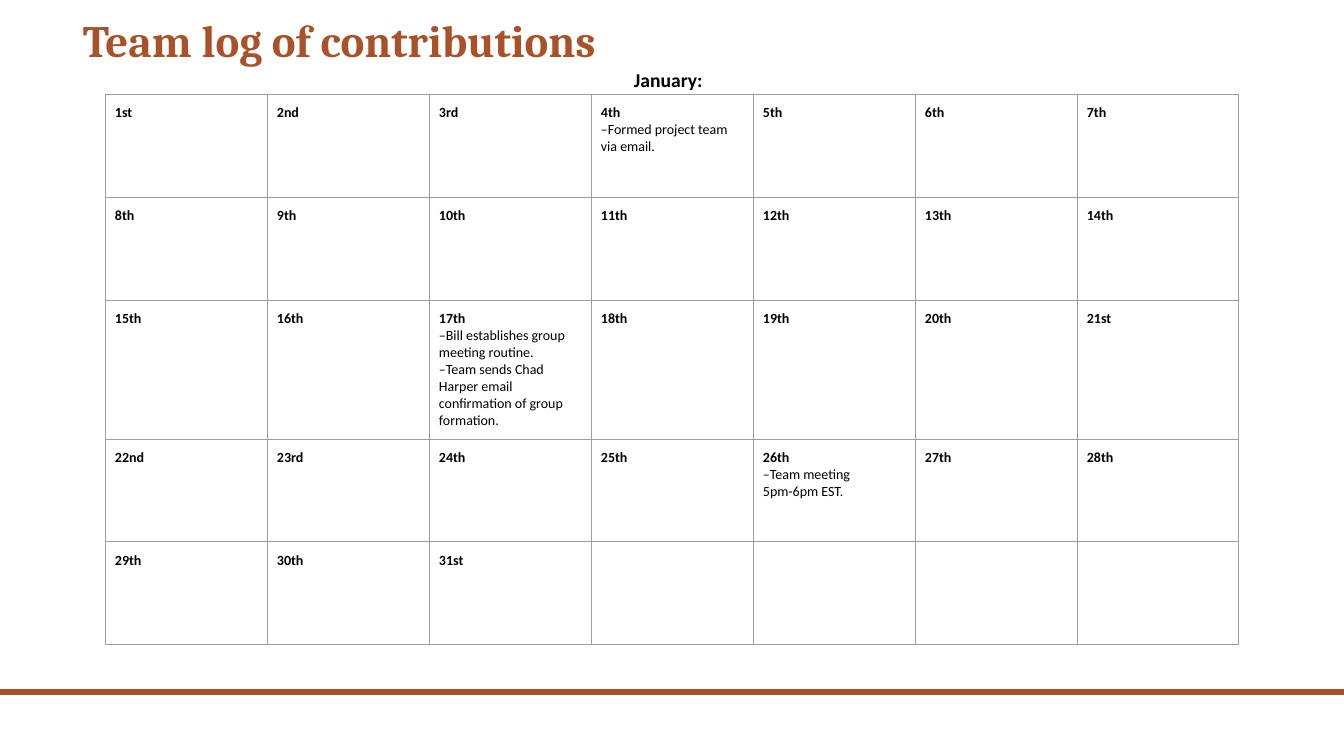
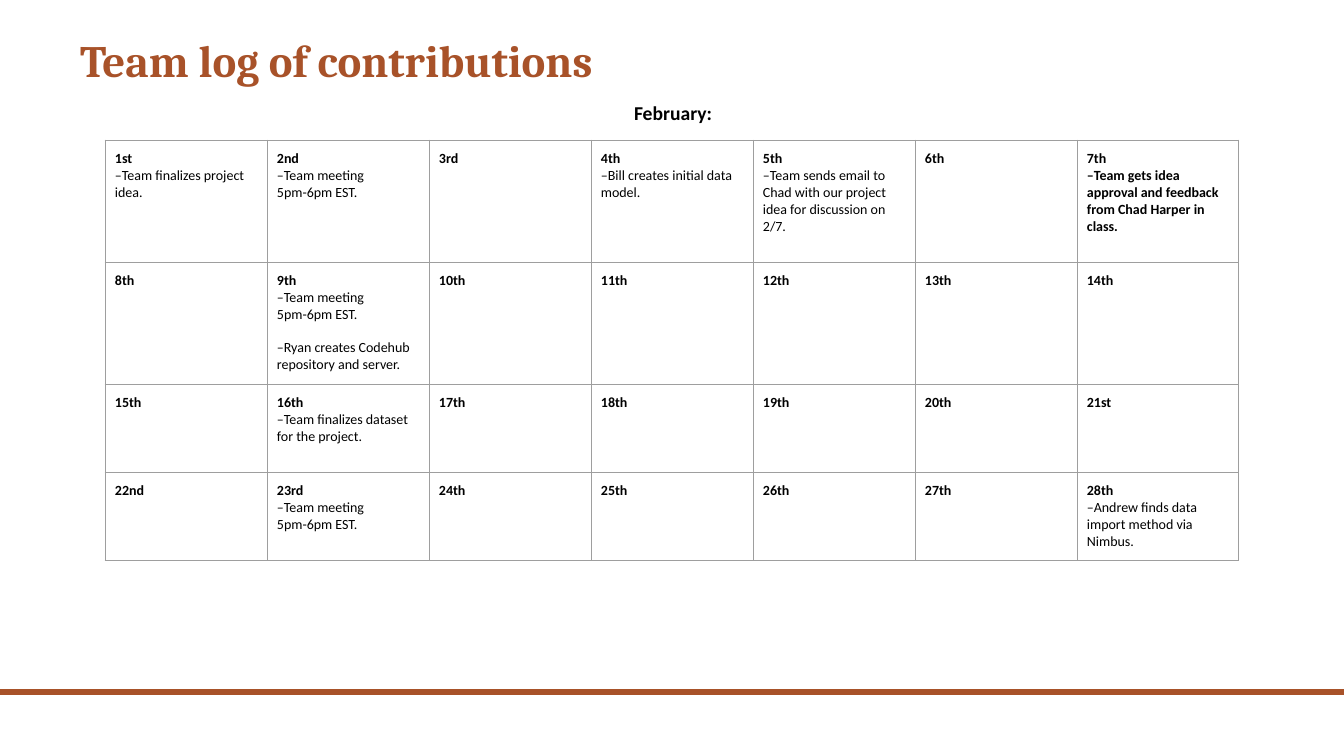
from dataclasses import dataclass
from typing import NamedTuple

from lxml import etree
from pptx import Presentation
from pptx import util as u
from pptx.dml import color
from pptx.enum import shapes, text
from pptx.oxml import ns


@dataclass(frozen=True)
class Theme:
    rust: str = "A85229"
    ink: str = "000000"
    grid: str = "9E9E9E"
    serif: str = "Cambria"
    sans: str = "Calibri"
    head: int = 32
    label: int = 14
    small: int = 10
    line: float = 0.75
    pad: int = 10


class Box(NamedTuple):
    x: int
    y: int
    w: int
    h: int


class Note(NamedTuple):
    text: str
    bold: bool = False
    gap: int = 0


class Month(NamedTuple):
    name: str
    days: int
    title: Box
    label: Box
    grid: Box
    rows: tuple
    notes: dict


THEME = Theme()
WEEK = 7
MEET = Note("–Team meeting 5pm-6pm EST.")
MONTHS = (
    Month(
        "January:", 31,
        Box(73, 5, 1058, 67), Box(624, 58, 97, 44), Box(105, 94, 1134, 551),
        (103, 103, 139, 103, 103),
        {
            4: [Note("–Formed project team via email.")],
            17: [
                Note("–Bill establishes group meeting routine."),
                Note("–Team sends Chad Harper email confirmation of group formation."),
            ],
            26: [MEET],
        },
    ),
    Month(
        "February:", 28,
        Box(70, 25, 1058, 67), Box(624, 91, 109, 44), Box(105, 140, 1134, 420),
        (122, 122, 88, 88),
        {
            1: [Note("–Team finalizes project idea.")],
            2: [MEET],
            4: [Note("–Bill creates initial data model.")],
            5: [Note("–Team sends email to Chad with our project idea for discussion on 2/7.")],
            7: [Note("–Team gets idea approval and feedback from Chad Harper in class.", bold=True)],
            9: [MEET, Note("–Ryan creates Codehub repository and server.", gap=12)],
            16: [Note("–Team finalizes dataset for the project.")],
            23: [MEET],
            28: [Note("–Andrew finds data import method via Nimbus.")],
        },
    ),
)


def px(n):
    return u.Emu(round(n * 914400 / 100.8))


def place(box):
    return [px(n) for n in box]


def style(par, face, size, ink, bold=True):
    font = par.font
    font.name, font.size, font.bold = face, u.Pt(size), bold
    font.color.rgb = color.RGBColor.from_string(ink)


def inset(item, x, y):
    item.margin_left = item.margin_right = px(x)
    item.margin_top = item.margin_bottom = px(y)


def add_band(slide, layout, box):
    band = slide.shapes.add_shape(shapes.MSO_SHAPE.RECTANGLE, *place(box))
    band.shadow.inherit = False
    band.fill.solid()
    band.fill.fore_color.rgb = color.RGBColor.from_string(THEME.rust)
    band.line.fill.background()
    layout.shapes.element.append(band.element)


def add_title(slide, box):
    title = slide.shapes.title
    title.left, title.top, title.width, title.height = place(box)
    frame = title.text_frame
    frame.auto_size = text.MSO_AUTO_SIZE.NONE
    frame.vertical_anchor = text.MSO_ANCHOR.BOTTOM
    inset(frame, THEME.pad, 5)
    par = frame.paragraphs[0]
    par.text = "Team log of contributions"
    par.alignment = text.PP_ALIGN.LEFT
    par.line_spacing = 0.9
    style(par, THEME.serif, THEME.head, THEME.rust)


def add_label(slide, box, name):
    frame = slide.shapes.add_textbox(*place(box)).text_frame
    frame.word_wrap = True
    inset(frame, THEME.pad, THEME.pad)
    par = frame.paragraphs[0]
    par.text = name
    style(par, THEME.sans, THEME.label, THEME.ink)


def rule(cell):
    props = cell._tc.get_or_add_tcPr()
    for side in ("lnL", "lnR", "lnT", "lnB"):
        line = etree.SubElement(props, ns.qn(f"a:{side}"), w=str(u.Pt(THEME.line)))
        fill = etree.SubElement(line, ns.qn("a:solidFill"))
        etree.SubElement(fill, ns.qn("a:srgbClr"), val=THEME.grid)


def nth(day):
    end = "th" if 10 < day < 14 else {1: "st", 2: "nd", 3: "rd"}.get(day % 10, "th")
    return f"{day}{end}"


def fill_day(cell, day, notes):
    frame = cell.text_frame
    for i, note in enumerate([Note(nth(day), bold=True), *notes]):
        par = frame.add_paragraph() if i else frame.paragraphs[0]
        par.text = note.text
        if note.gap:
            par.space_before = u.Pt(note.gap)
        style(par, THEME.sans, THEME.small, THEME.ink, note.bold)


def add_grid(slide, box, month):
    table = slide.shapes.add_table(len(month.rows), WEEK, *place(box)).table
    table.first_row = table.horz_banding = False
    for col in table.columns:
        col.width = px(box.w / WEEK)
    for row, high in zip(table.rows, month.rows):
        row.height = px(high)
    for day, cell in enumerate(table.iter_cells(), 1):
        inset(cell, THEME.pad, THEME.pad)
        rule(cell)
        cell.fill.background()
        if day <= month.days:
            fill_day(cell, day, month.notes.get(day, []))


def add_month(deck, layout, month):
    slide = deck.slides.add_slide(layout)
    add_title(slide, month.title)
    add_grid(slide, month.grid, month)
    add_label(slide, month.label, month.name)
    return slide


def main():
    deck = Presentation()
    deck.slide_width, deck.slide_height = px(1344), px(756)
    layout = deck.slide_layouts[5]
    pages = [add_month(deck, layout, month) for month in MONTHS]
    add_band(pages[0], layout, Box(0, 689, 1344, 6))
    deck.save("out.pptx")


if __name__ == "__main__":
    main()
